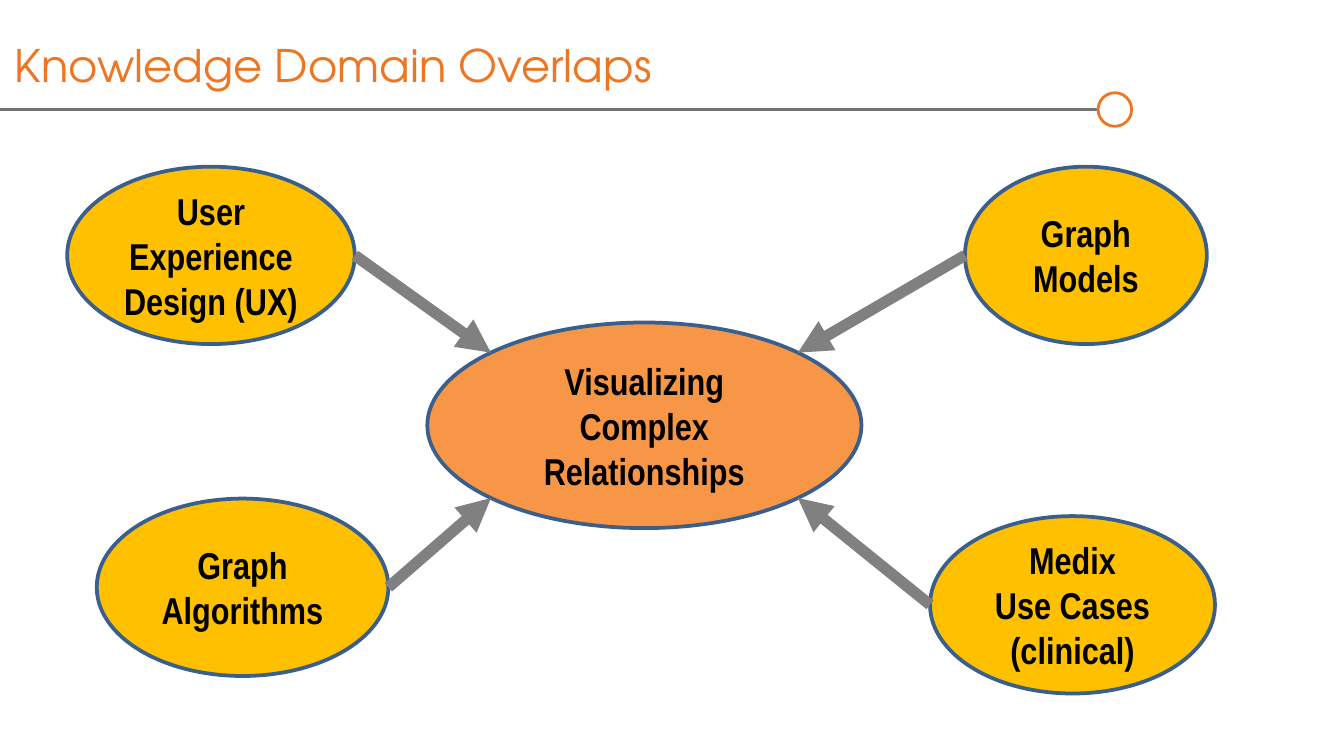
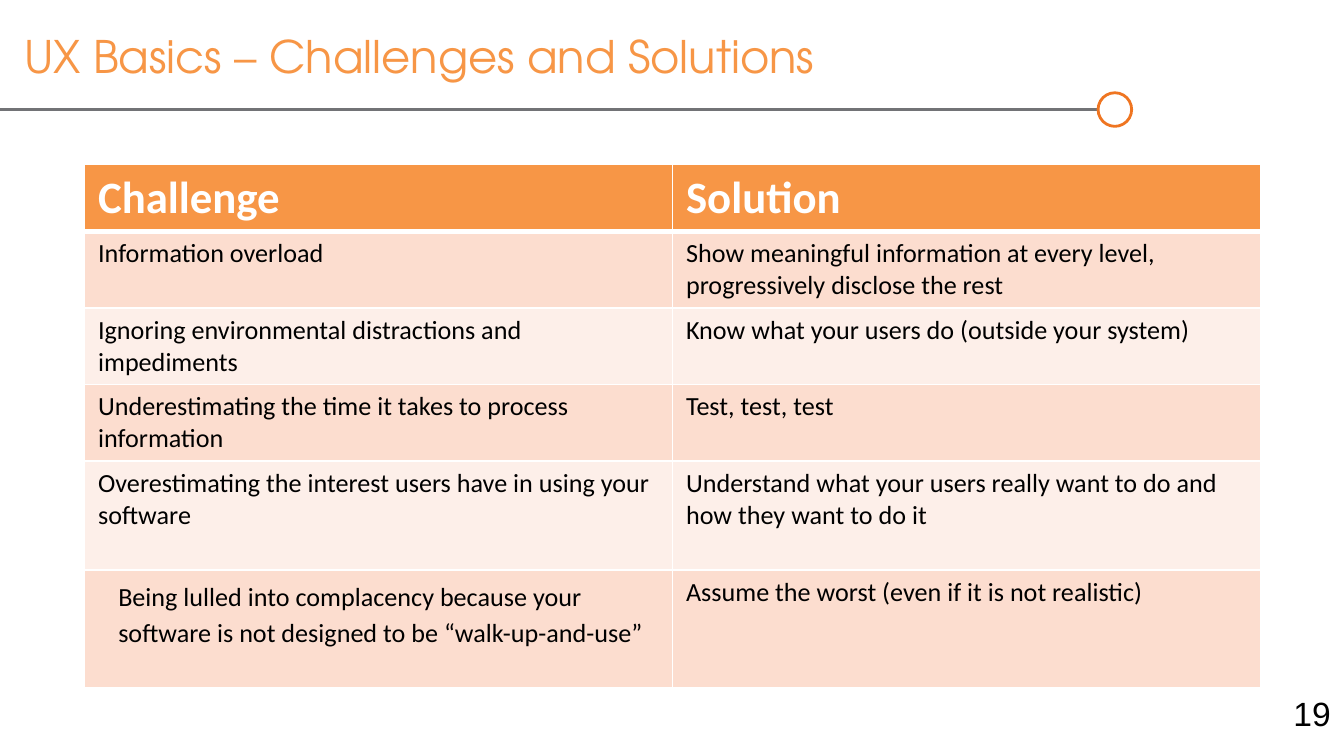
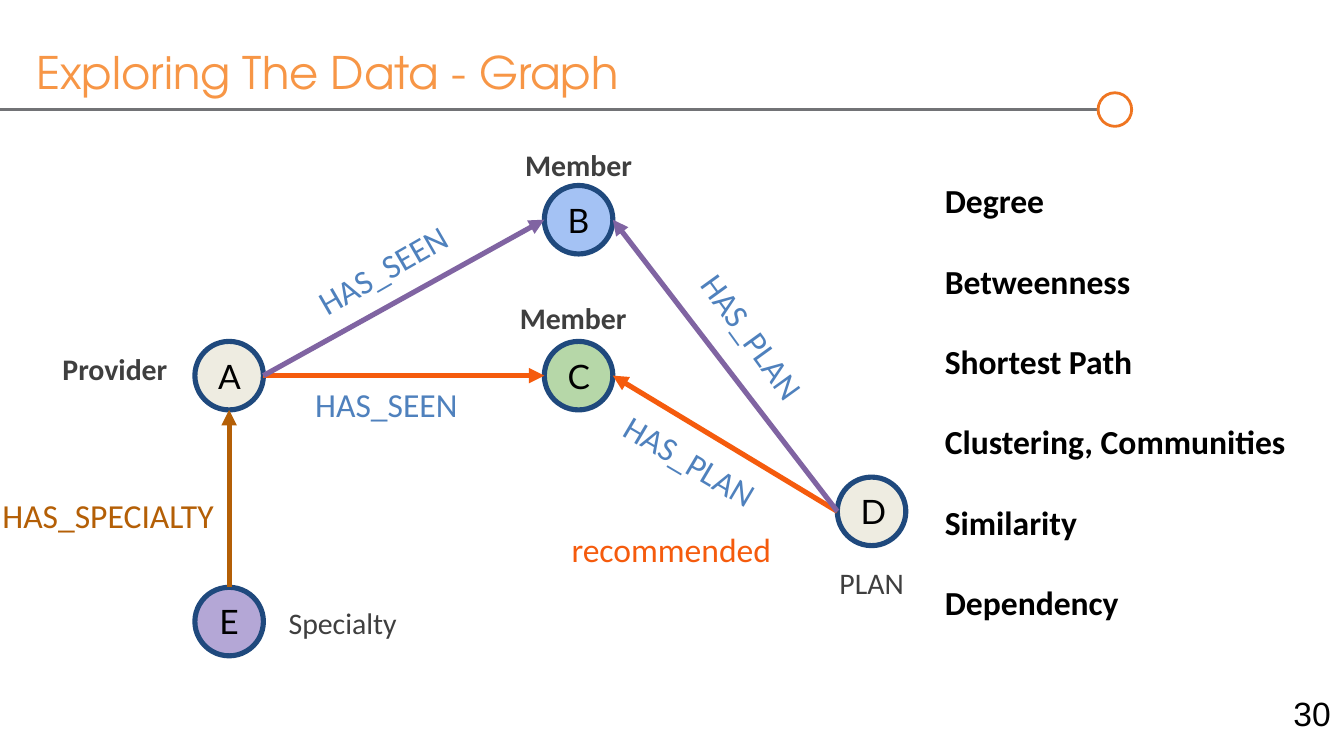
from dataclasses import dataclass
from math import cos, radians, sin

from pptx import Presentation
from pptx.dml.color import RGBColor
from pptx.enum.shapes import MSO_CONNECTOR, MSO_SHAPE
from pptx.enum.text import MSO_ANCHOR, MSO_AUTO_SIZE, PP_ALIGN
from pptx.oxml import parse_xml
from pptx.oxml.ns import nsdecls, qn
from pptx.util import Inches, Pt

COLORS = {
    "white": "FFFFFF", "black": "000000", "rule": "727376", "accent": "EF7521",
    "orange": "F79646", "gold": "FFC000", "outline": "3A5F8C", "gray": "808080",
    "band_dark": "FCDDCF", "band_light": "FDEFE9", "navy": "1F497D",
    "cream": "EEECE1", "green": "B6D7A8", "sky": "A4C2F4", "lilac": "B4A7D6",
    "purple": "8064A2", "red": "F55B0D", "brown": "B45F06", "blue": "4F81BD",
    "dark": "3F3F3F",
}
TITLE_FONT, BODY_FONT = "TeX Gyre Adventor", "Calibri"
RIGHT, LOWER_RIGHT, BOTTOM, LOWER_LEFT = 0, 45, 90, 135
LEFT, UPPER_LEFT, TOP, UPPER_RIGHT = 180, 225, 270, 315
NODE_SIZE = 0.51


@dataclass(frozen=True)
class Oval:
    text: str
    left: float
    top: float
    width: float = NODE_SIZE
    height: float = NODE_SIZE
    fill: str = "gold"

    def site(self, angle: int) -> tuple[float, float]:
        """Return the point on the outline at a clockwise angle from the right."""
        return (self.left + self.width / 2 * (1 + cos(radians(angle))),
                self.top + self.height / 2 * (1 + sin(radians(angle))))


@dataclass(frozen=True)
class Style:
    font: str
    size: float
    color: str = "black"
    bold: bool = False


@dataclass(frozen=True)
class Label:
    text: str
    left: float
    top: float
    style: Style
    width: float = 1.81
    rotation: float = 0


@dataclass(frozen=True)
class Arrow:
    begin: tuple[float, float]
    end: tuple[float, float]
    color: str


def rgb(name: str) -> RGBColor:
    """Look up a palette colour."""
    return RGBColor.from_string(COLORS[name])


def set_style(p, style: Style, align=PP_ALIGN.LEFT) -> None:
    """Format one paragraph."""
    p.alignment = align
    font = p.font
    font.name, font.size, font.bold = style.font, Pt(style.size), style.bold
    font.color.rgb = rgb(style.color)


def place(sp, left: float, top: float, width: float, height: float) -> None:
    """Move and size a shape."""
    sp.left, sp.top = Inches(left), Inches(top)
    sp.width, sp.height = Inches(width), Inches(height)


def set_insets(tf, inset: float) -> None:
    """Give a text frame equal side insets."""
    tf.margin_left = tf.margin_right = tf.margin_top = tf.margin_bottom = Inches(inset)


def set_borders(cell, bottom: float) -> None:
    """Draw white cell borders with the given bottom width in points."""
    properties = cell._tc.get_or_add_tcPr()
    for i, (side, width) in enumerate(
            (("lnL", 1), ("lnR", 1), ("lnT", 1), ("lnB", bottom))):
        properties.insert(i, parse_xml(
            f'<a:{side} {nsdecls("a")} w="{Pt(width)}"><a:solidFill>'
            f'<a:srgbClr val="{COLORS["white"]}"/></a:solidFill></a:{side}>'))


def add_line(slide, arrow: Arrow, width: float, head: bool = True) -> None:
    """Draw a straight line, with an arrowhead unless told otherwise."""
    points = [Inches(v) for v in (*arrow.begin, *arrow.end)]
    cxn = slide.shapes.add_connector(MSO_CONNECTOR.STRAIGHT, *points)
    cxn.line.width = Pt(width)
    cxn.line.color.rgb = rgb(arrow.color)
    if head:
        ln = cxn.line._get_or_add_ln()
        ln.append(ln.makeelement(qn("a:tailEnd"), {"type": "triangle"}))
    properties = cxn._element.spPr
    properties.append(properties.makeelement(qn("a:effectLst"), {}))


def add_oval(slide, oval: Oval, line: str, width: float, style: Style) -> None:
    """Draw an ellipse with its centred text."""
    sp = slide.shapes.add_shape(
        MSO_SHAPE.OVAL, *map(Inches, (oval.left, oval.top, oval.width, oval.height)))
    sp.shadow.inherit = False
    if oval.fill:
        sp.fill.solid()
        sp.fill.fore_color.rgb = rgb(oval.fill)
    else:
        sp.fill.background()
    sp.line.color.rgb = rgb(line)
    sp.line.width = Pt(width)
    if oval.text:
        tf = sp.text_frame
        tf.text = oval.text
        tf.vertical_anchor = MSO_ANCHOR.MIDDLE
        for p in tf.paragraphs:
            set_style(p, style, PP_ALIGN.CENTER)


def add_label(slide, label: Label) -> None:
    """Write a centred, possibly rotated label."""
    box = slide.shapes.add_textbox(
        *map(Inches, (label.left, label.top, label.width, 0.36)))
    box.rotation = label.rotation
    tf = box.text_frame
    tf.word_wrap = True
    tf.text = label.text
    set_style(tf.paragraphs[0], label.style, PP_ALIGN.CENTER)


def add_page_number(slide, number: int) -> None:
    """Write the page number in the lower right corner."""
    box = slide.shapes.add_textbox(*map(Inches, (9.4, 5.09, 0.6, 0.43)))
    tf = box.text_frame
    tf.word_wrap = True
    tf.vertical_anchor = MSO_ANCHOR.MIDDLE
    set_insets(tf, 0.1)
    tf.text = str(number)
    set_style(tf.paragraphs[0], Style("Arial", 18), PP_ALIGN.RIGHT)


def start_slide(prs, layout: str, title: str, left: float, top: float, width: float,
                color: str = "orange", inset_top: float = 0.1):
    """Add a slide with its title and the rule that ends in a ring."""
    slide = prs.slides.add_slide(prs.slide_layouts.get_by_name(layout))
    ring = Oval("", 8.17, 0.69, 0.25, 0.25, "")
    ring_x, rule_y = ring.site(LEFT)
    add_line(slide, Arrow((0, rule_y), (ring_x, rule_y), "rule"), 1.5, head=False)
    add_oval(slide, ring, "accent", 1.5, Style(BODY_FONT, 18))
    sp = slide.shapes.title
    place(sp, left, top, width, 0.58)
    tf = sp.text_frame
    tf.auto_size = MSO_AUTO_SIZE.NONE
    tf.vertical_anchor = MSO_ANCHOR.TOP
    set_insets(tf, 0.1)
    tf.margin_top = Inches(inset_top)
    tf.text = title
    set_style(tf.paragraphs[0], Style(TITLE_FONT, 24, color))
    return slide


def add_overlaps(prs) -> None:
    """Build the slide of domains that meet in one centre."""
    slide = start_slide(prs, "Title Only", "Knowledge Domain Overlaps",
                        0.01, 0.23, 8.07, "accent", 0.05)
    center = Oval("Visualizing\nComplex\nRelationships", 3.18, 2.4, 3.23, 1.53, "orange")
    domains = [
        (Oval("User Experience\nDesign (UX)", 0.5, 1.24, 2.14, 1.32), RIGHT, UPPER_LEFT),
        (Oval("Graph Models", 7.18, 1.24, 1.8, 1.32), LEFT, UPPER_RIGHT),
        (Oval("Graph Algorithms", 0.72, 3.71, 2.17, 1.32), RIGHT, LOWER_LEFT),
        (Oval("Medix\vUse Cases\n(clinical)", 6.92, 3.84, 2.12, 1.32), LEFT, LOWER_RIGHT),
    ]
    style = Style("Arial Narrow", 20, bold=True)
    for oval in (center, *(domain for domain, _, _ in domains)):
        add_oval(slide, oval, "outline", 2, style)
    for domain, begin, end in domains:
        add_line(slide, Arrow(domain.site(begin), center.site(end), "gray"), 6)


def add_challenges(prs) -> None:
    """Build the slide with the table of challenges and solutions."""
    slide = start_slide(prs, "Title Only", "UX Basics – Challenges and Solutions",
                        0.08, 0.11, 6.83)
    add_page_number(slide, 19)
    rows = [
        ("Challenge", "Solution"),
        ("Information overload",
         "Show meaningful information at every level, progressively disclose the rest"),
        ("Ignoring environmental distractions and impediments",
         "Know what your users do (outside your system)"),
        ("Underestimating the time it takes to process information", "Test, test, test"),
        ("Overestimating the interest users have in using your software",
         "Understand what your users really want to do and how they want to do it"),
        ("Being lulled into complacency because your software is not designed "
         "to be “walk-up-and-use”",
         "Assume the worst (even if it is not realistic)"),
    ]
    heights = [0.5, 0.57, 0.57, 0.57, 0.81, 0.88]
    width = 8.75
    table = slide.shapes.add_table(
        len(rows), 2, *map(Inches, (0.63, 1.22, width, sum(heights)))).table
    for column in table.columns:
        column.width = Inches(width / 2)
    for i, (texts, height) in enumerate(zip(rows, heights)):
        table.rows[i].height = Inches(height)
        if i == 0:
            fill, style = "orange", Style(BODY_FONT, 24, "white", True)
        else:
            fill = "band_dark" if i % 2 else "band_light"
            style = Style(BODY_FONT, 14)
        for cell, text in zip(table.rows[i].cells, texts):
            cell.fill.solid()
            cell.fill.fore_color.rgb = rgb(fill)
            if i == 0:
                set_borders(cell, 3)
            cell.text = text
            set_style(cell.text_frame.paragraphs[0], style)
    p = table.cell(len(rows) - 1, 0).text_frame.paragraphs[0]
    p.line_spacing = 1.15
    p._p.get_or_add_pPr().set("marL", str(Inches(0.15)))


def add_measures(slide, measures: list[str]) -> None:
    """Fill the body placeholder with the graph measures."""
    sp = slide.placeholders[1]
    place(sp, 6.93, 1.24, 2.91, 3.61)
    tf = sp.text_frame
    tf.auto_size = MSO_AUTO_SIZE.NONE
    set_insets(tf, 0.1)
    tf.text = "\n".join(measures)
    for i, p in enumerate(tf.paragraphs):
        properties = p._p.get_or_add_pPr()
        properties.set("marL", "0")
        properties.set("indent", "0")
        properties.append(properties.makeelement(qn("a:buNone"), {}))
        p.space_before = Pt(21.5 if i else 0)
        set_style(p, Style(BODY_FONT, 18, bold=True))


def add_graph(prs) -> None:
    """Build the slide with the graph and its measures."""
    slide = start_slide(prs, "Title and Content", "Exploring The Data - Graph",
                        0.17, 0.23, 7.92)
    add_page_number(slide, 30)
    add_measures(slide, ["Degree", "Betweenness", "Shortest Path",
                         "Clustering, Communities", "Similarity", "Dependency"])
    provider = Oval("A", 1.45, 2.54, fill="cream")
    member_b = Oval("B", 4.05, 1.38, fill="sky")
    member_c = Oval("C", 4.05, 2.54, fill="green")
    plan = Oval("D", 6.23, 3.55, fill="cream")
    specialty = Oval("E", 1.45, 4.37, fill="lilac")
    for node in (provider, member_b, member_c, plan, specialty):
        add_oval(slide, node, "navy", 2.75, Style("Lato", 18))
    for arrow in (
        Arrow(provider.site(RIGHT), member_c.site(LEFT), "red"),
        Arrow(provider.site(RIGHT), member_b.site(LEFT), "purple"),
        Arrow(plan.site(LEFT), member_c.site(RIGHT), "red"),
        Arrow(plan.site(LEFT), member_b.site(RIGHT), "purple"),
        Arrow(specialty.site(TOP), provider.site(BOTTOM), "brown"),
    ):
        add_line(slide, arrow, 2.75)
    kind = Style(BODY_FONT, 16, "dark")
    bold_kind = Style(BODY_FONT, 16, "dark", True)
    relation = Style(BODY_FONT, 18, "blue")
    for label in (
        Label("Provider", 0.2, 2.56, bold_kind, 1.31),
        Label("Member", 3.4, 1.04, bold_kind),
        Label("Member", 3.36, 2.18, bold_kind),
        Label("PLAN", 5.79, 4.15, kind, 1.39),
        Label("Specialty", 1.51, 4.45, kind, 2.08),
        Label("HAS_SEEN", 1.93, 1.81, relation, rotation=330),
        Label("HAS_SEEN", 1.97, 2.81, relation),
        Label("HAS_PLAN", 4.71, 2.31, relation, rotation=54.2),
        Label("HAS_PLAN", 4.24, 3.23, relation, rotation=30.6),
        Label("recommended", 4.09, 3.89, Style(BODY_FONT, 18, "red")),
        Label("HAS_SPECIALTY", -0.1, 3.63, Style(BODY_FONT, 18, "brown")),
    ):
        add_label(slide, label)


def main() -> None:
    """Build and save the presentation."""
    prs = Presentation()
    prs.slide_width, prs.slide_height = Inches(10), Inches(10 * 9 / 16)
    add_overlaps(prs)
    add_challenges(prs)
    add_graph(prs)
    prs.save("out.pptx")


if __name__ == "__main__":
    main()
